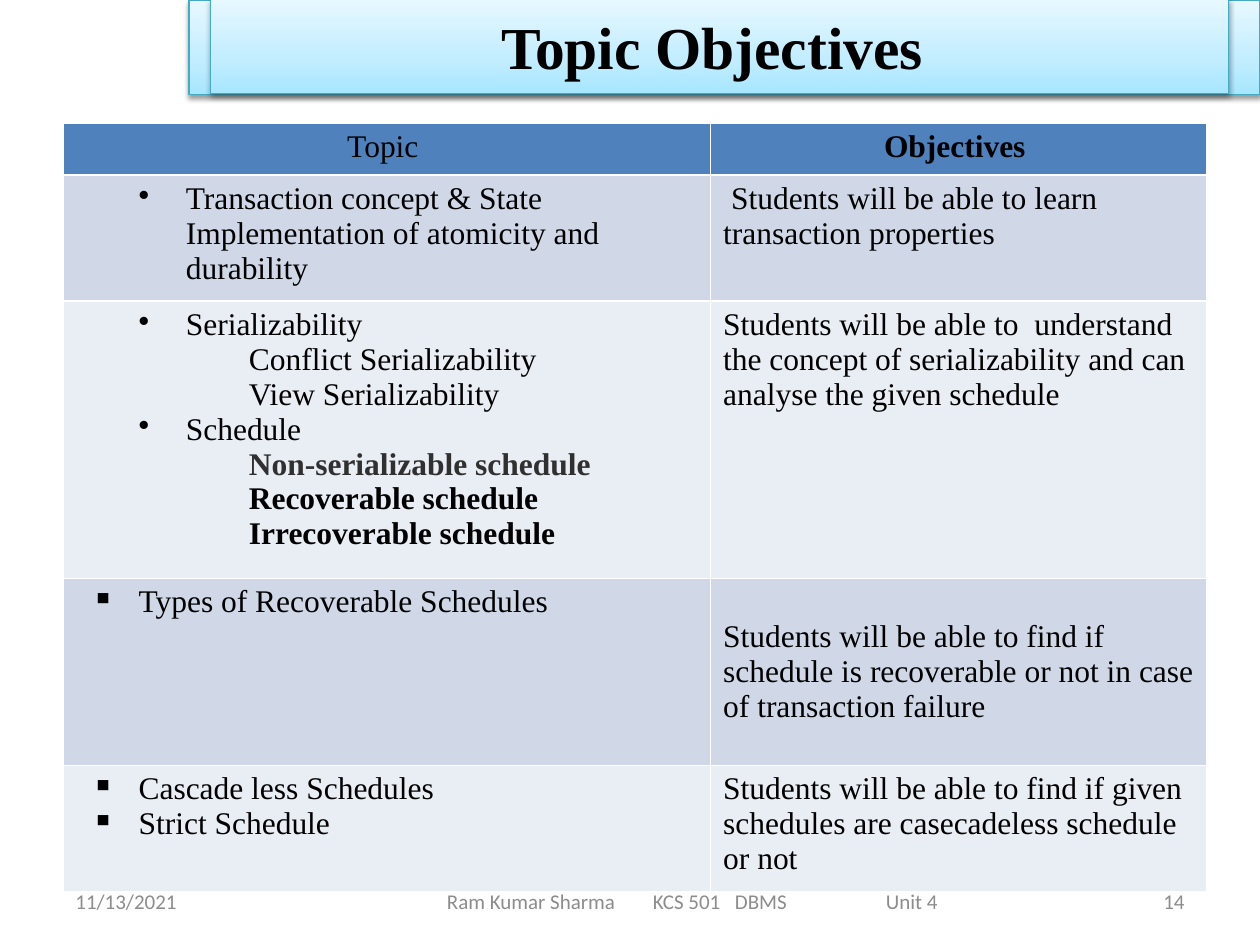
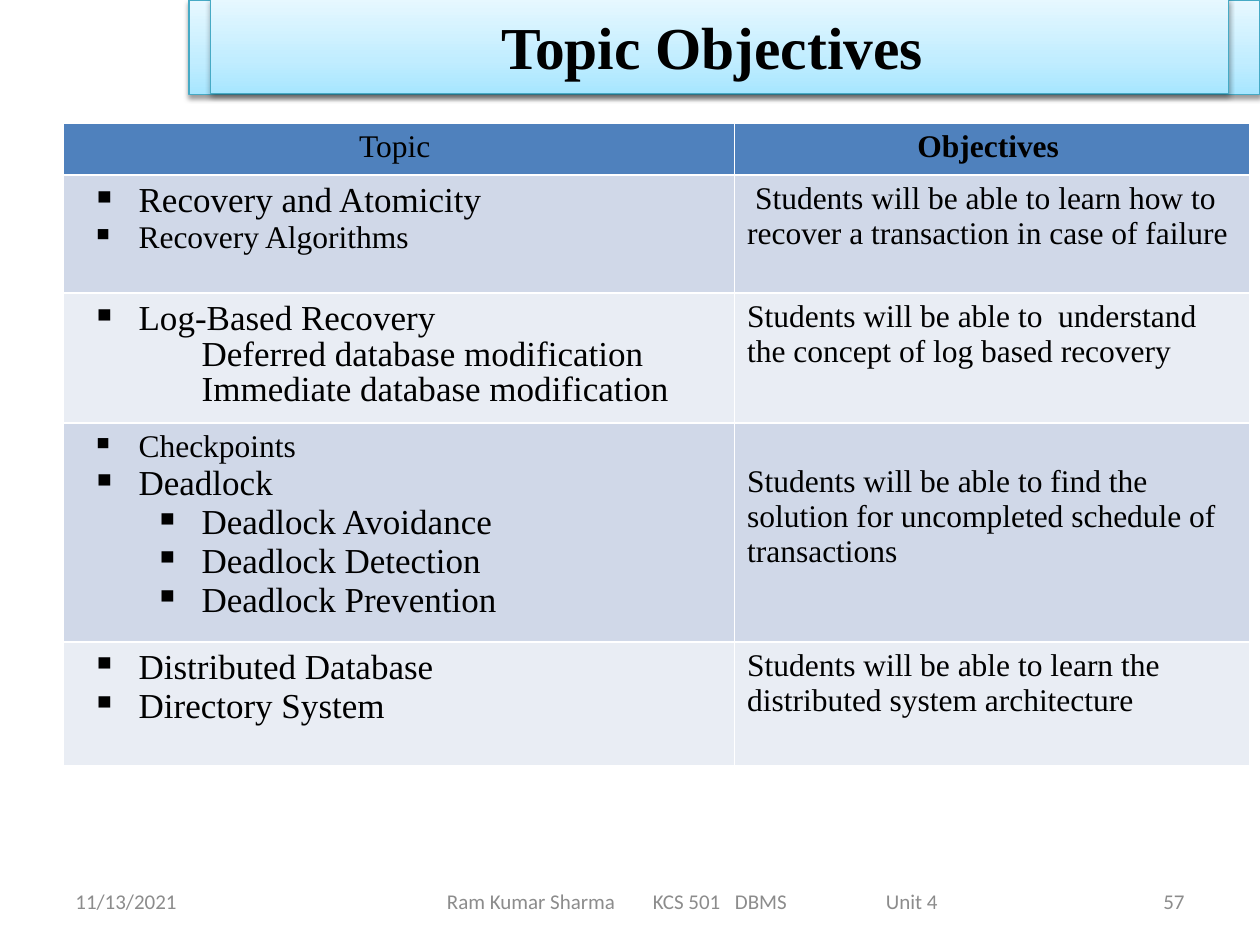
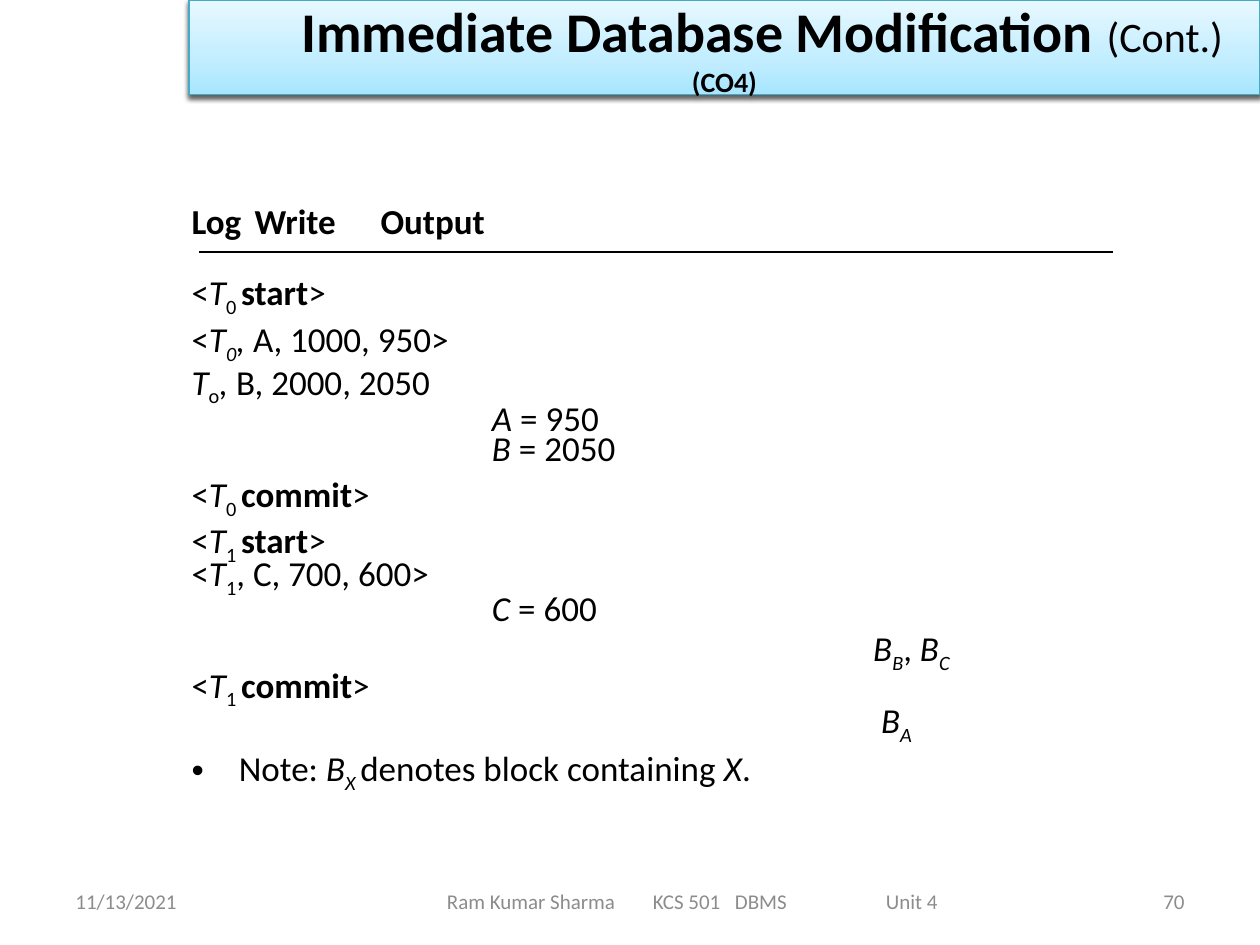
from copy import deepcopy

from lxml.etree import SubElement
from pptx import Presentation
from pptx.dml.color import RGBColor as Rgb
from pptx.enum.shapes import MSO_CONNECTOR as Connector, MSO_SHAPE as Preset
from pptx.enum.text import MSO_ANCHOR as Anchor, MSO_AUTO_SIZE as AutoSize, PP_ALIGN as Align
from pptx.oxml import parse_xml
from pptx.oxml.ns import nsdecls, qn
from pptx.util import Pt

COLORS = {
    "text": "000000", "soft": "303030", "footer": "8C8C8C",
    "band_low": "A7E6FF", "band_mid": "C1EDFF", "band_high": "E7F8FF", "band_line": "46AAC5",
    "header": "4F81BD", "odd": "D0D8E8", "even": "E9EDF4",
}
SERIF, SANS = "Times New Roman", "Calibri"
BAND = (108, 0, 612, 54)
INNER_BAND = (120.24, -0.72, 581.76, 54)

TITLE_FONT = {"name": SERIF, "size": 34, "bold": True}
CELL_FONT = {"name": SERIF, "size": 18, "bold": False}
BODY_FONT = {"name": SANS, "size": 20}
FOOTER_FONT = {"name": SANS, "size": 12, "color": "footer"}

PLAIN, BOLD, ITALIC = {}, {"bold": True}, {"italic": True}
SUB = {"subscript": True}
ITALIC_SUB = {**ITALIC, **SUB}
LARGE = {"size": 20}

DOT = {"left": 63, "first": -27, "bullet": "•"}
SQUARE = {"left": 36, "first": -27, "bullet": "▪"}
SUB_SQUARE = {**SQUARE, "left": 72}
DEEP = {"left": 99}
DEFERRED = {"left": 72, "line_spacing": 0.9}
FLUSH = {"left": 0, "first": 0}
WRITE_COLUMN = {"left": 171.7, "first": 0}

SCHEDULE_ROWS = [
    ([("Transaction concept & State Implementation of atomicity and durability", PLAIN, DOT)],
     " Students will be able to learn transaction properties"),
    ([("Serializability", PLAIN, DOT),
      ("Conflict Serializability", PLAIN, DEEP),
      ("View Serializability", PLAIN, DEEP),
      ("Schedule", PLAIN, DOT),
      ("Non-serializable schedule", {"bold": True, "color": "soft"}, DEEP),
      ("Recoverable schedule", BOLD, DEEP),
      ("Irrecoverable schedule", BOLD, DEEP)],
     "Students will be able to  understand the concept of serializability and can analyse "
     "the given schedule"),
    ([("Types of Recoverable Schedules", PLAIN, SQUARE)],
     "Students will be able to find if schedule is recoverable or not in case of "
     "transaction failure"),
    ([("Cascade less Schedules", PLAIN, SQUARE),
      ("Strict Schedule", PLAIN, SQUARE)],
     "Students will be able to find if given schedules are casecadeless schedule or not"),
]
RECOVERY_ROWS = [
    ([("Recovery and Atomicity", LARGE, SQUARE),
      ("Recovery Algorithms", PLAIN, SQUARE)],
     " Students will be able to learn how to recover a transaction in case of failure"),
    ([("Log-Based Recovery", LARGE, SQUARE),
      ("Deferred database modification", LARGE, DEFERRED),
      ("Immediate database modification", LARGE, DEFERRED)],
     "Students will be able to  understand the concept of log based recovery"),
    ([("Checkpoints", PLAIN, SQUARE),
      ("Deadlock", LARGE, SQUARE),
      ("Deadlock Avoidance", LARGE, SUB_SQUARE),
      ("Deadlock Detection", LARGE, SUB_SQUARE),
      ("Deadlock Prevention", LARGE, SUB_SQUARE)],
     "Students will be able to find the solution for uncompleted schedule of transactions"),
    ([("Distributed Database", LARGE, SQUARE),
      ("Directory System", LARGE, SQUARE)],
     "Students will be able to learn the distributed system architecture"),
]


def place(shape, box):
    for name, value in zip(("left", "top", "width", "height"), box):
        setattr(shape, name, Pt(value))


def add_span(para, text, font):
    span = para.add_run()
    span.text = text
    for name, value in font.items():
        if name == "subscript":
            span.font._element.set("baseline", "-25000")
        elif name != "color":
            setattr(span.font, name, Pt(value) if name == "size" else value)
    span.font.color.rgb = Rgb.from_string(COLORS[font.get("color", "text")])


def format_paragraph(para, left=None, first=None, bullet=None, tabs=(), **values):
    for name, value in values.items():
        setattr(para, name, value)
    props = para._p.get_or_add_pPr()
    for name, value in (("marL", left), ("indent", first)):
        if value is not None:
            props.set(name, str(int(Pt(value))))
    if bullet:
        SubElement(props, qn("a:buChar")).set("char", bullet)
    elif left is not None:
        SubElement(props, qn("a:buNone"))
    if tabs:
        stops = SubElement(props, qn("a:tabLst"))
        for position in tabs:
            stop = SubElement(stops, qn("a:tab"))
            stop.set("pos", str(int(Pt(position))))
            stop.set("algn", "l")


def write(frame, paragraphs, font):
    for index, (spans, layout) in enumerate(paragraphs):
        para = frame.add_paragraph() if index else frame.paragraphs[0]
        format_paragraph(para, **layout)
        for text, changes in spans:
            add_span(para, text, {**font, **changes})


def style_band(shape, box):
    place(shape, box)
    stops = "".join(
        f'<a:gs pos="{position}"><a:srgbClr val="{COLORS[name]}"/></a:gs>'
        for position, name in ((0, "band_low"), (35000, "band_mid"), (100000, "band_high")))
    props = shape._element.spPr
    for xml in (
        f'<a:gradFill {nsdecls("a")} rotWithShape="1"><a:gsLst>{stops}</a:gsLst>'
        '<a:lin ang="16200000" scaled="1"/></a:gradFill>',
        f'<a:ln {nsdecls("a")} w="9525"><a:solidFill><a:srgbClr val="{COLORS["band_line"]}"/>'
        '</a:solidFill></a:ln>',
        f'<a:effectLst {nsdecls("a")}><a:outerShdw blurRad="39370" dist="20320" dir="5400000" '
        'rotWithShape="0"><a:srgbClr val="000000"><a:alpha val="38000"/></a:srgbClr>'
        '</a:outerShdw></a:effectLst>',
    ):
        props.append(parse_xml(xml))


def add_master_band(deck, page):
    band = page.shapes.add_shape(Preset.RECTANGLE, 0, 0, 0, 0)
    style_band(band, BAND)
    deck.slide_master.shapes._spTree.append(deepcopy(band._element))
    band._element.getparent().remove(band._element)


def add_title(page, spans, box, **layout):
    title = page.shapes.title
    style_band(title, box)
    title.text_frame.auto_size = AutoSize.NONE
    title.text_frame.vertical_anchor = Anchor.MIDDLE
    write(title.text_frame, [(spans, {"alignment": Align.CENTER, **layout})], TITLE_FONT)


def add_footer(page, number):
    items = (
        (36, 168, 7.2, "11/13/2021", {}),
        (198, 396, 57.4, "Ram Kumar Sharma\tKCS 501\tDBMS\tUnit 4",
         {"left": 0, "tabs": (117.7, 164.6, 250.9)}),
        (516, 168, 7.2, str(number), {"alignment": Align.RIGHT}),
    )
    for left, width, inset, text, layout in items:
        box = page.shapes.add_textbox(Pt(left), Pt(500.4), Pt(width), Pt(28.8))
        frame = box.text_frame
        frame.word_wrap = True
        frame.vertical_anchor = Anchor.MIDDLE
        frame.margin_left = Pt(inset)
        write(frame, [([(text, PLAIN)], layout)], FOOTER_FONT)


def fill_cell(cell, color, paragraphs):
    cell.fill.solid()
    cell.fill.fore_color.rgb = Rgb.from_string(COLORS[color])
    write(cell.text_frame, [([(text, font)], layout) for text, font, layout in paragraphs], CELL_FONT)


def add_objectives(page, rows, widths, heights, lowered_row):
    frame = page.shapes.add_table(
        len(heights), 2, Pt(36), Pt(70.56), Pt(sum(widths)), Pt(sum(heights)))
    table = frame.table
    for column, width in zip(table.columns, widths):
        column.width = Pt(width)
    for row, height in zip(table.rows, heights):
        row.height = Pt(height)
    centered = {"alignment": Align.CENTER}
    fill_cell(table.cell(0, 0), "header", [("Topic ", PLAIN, centered)])
    fill_cell(table.cell(0, 1), "header", [("Objectives ", BOLD, centered)])
    for index, (topics, objective) in enumerate(rows, 1):
        color = "odd" if index % 2 else "even"
        fill_cell(table.cell(index, 0), color, topics)
        fill_cell(table.cell(index, 1), color, [(objective, PLAIN, {})])
    table.cell(lowered_row, 1).margin_top = Pt(23.6)


def log_mark(number, word):
    return [("<", PLAIN), ("T", ITALIC), (f"{number} ", SUB), (word, BOLD), (">", PLAIN)]


def assignment(name, value):
    return [(name, ITALIC), (f" = {value}", PLAIN)]


def block(name):
    return [("B", ITALIC), (name, ITALIC_SUB)]


def add_log(page):
    body = page.placeholders[1]
    place(body, (102.24, 110.16, 559.44, 331.92))
    body.text_frame.auto_size = AutoSize.NONE
    tight, half, narrow = ({"line_spacing": value} for value in (0.7, 0.5, 0.6))
    paragraphs = [
        ([("Log\tWrite\tOutput", BOLD)], {**FLUSH, "tabs": (182, 363.7)}),
        (log_mark(0, "start"), {**FLUSH, **half, "space_before": Pt(26)}),
        ([("<", PLAIN), ("T", ITALIC), ("0", ITALIC_SUB), (",", ITALIC),
          (" A, 1000, 950>", PLAIN)], FLUSH),
        ([("T", ITALIC), ("o", SUB), (",", ITALIC), (" B, 2000, 2050", PLAIN)],
         {**FLUSH, **narrow}),
        (assignment("A", 950), {**WRITE_COLUMN, **tight}),
        (assignment("B", 2050), {**WRITE_COLUMN, **half}),
        (log_mark(0, "commit"), FLUSH),
        (log_mark(1, "start"), {**FLUSH, **tight}),
        ([("<", PLAIN), ("T", ITALIC), ("1", SUB), (", C, 700, 600>", PLAIN)],
         {**FLUSH, **half}),
        (assignment("C", 600), {**WRITE_COLUMN, **tight}),
        ([*block("B"), (", ", PLAIN), *block("C")], {"left": 389.5, "first": 0, **tight}),
        (log_mark(1, "commit"), {**FLUSH, **narrow}),
        (block("A"), {"left": 394, "first": 0, **narrow}),
        ([("Note: ", PLAIN), *block("X "), ("denotes block containing ", PLAIN),
          ("X", ITALIC), (".", PLAIN)], {"left": 27, "first": -27, "bullet": "•"}),
    ]
    write(body.text_frame, paragraphs, BODY_FONT)


def add_rule(page, left, right, top):
    rule = page.shapes.add_connector(Connector.STRAIGHT, Pt(left), Pt(top), Pt(right), Pt(top))
    rule.line.width = Pt(0.75)
    rule.line.color.rgb = Rgb.from_string(COLORS["text"])
    SubElement(rule._element.spPr, qn("a:effectLst"))


def main():
    deck = Presentation()
    deck.slide_width, deck.slide_height = Pt(720), Pt(540)
    content_layout, title_layout = deck.slide_layouts[1], deck.slide_layouts[5]

    objectives = (
        (14, SCHEDULE_ROWS, (370.08, 283.68), (29.5, 67.4, 146.3, 106.9, 66.9)),
        (57, RECOVERY_ROWS, (383.76, 294.48), (29.5, 67.4, 69.4, 115.4, 71.1)),
    )
    for number, rows, widths, heights in objectives:
        page = deck.slides.add_slide(title_layout)
        add_title(page, [("Topic Objectives ", PLAIN)], INNER_BAND)
        add_footer(page, number)
        add_objectives(page, rows, widths, heights, lowered_row=3)

    page = deck.slides.add_slide(content_layout)
    add_master_band(deck, page)
    add_title(page, [
        ("Immediate Database Modification ", {"name": SANS, "size": 32}),
        ("(Cont.) ", {"name": SANS, "size": 24, "bold": False}),
        ("(CO4)", {"name": SANS, "size": 16}),
    ], BAND, left=0, first=43)
    add_footer(page, 70)
    add_log(page)
    add_rule(page, 113.76, 635.76, 144)

    deck.save("out.pptx")


if __name__ == "__main__":
    main()
